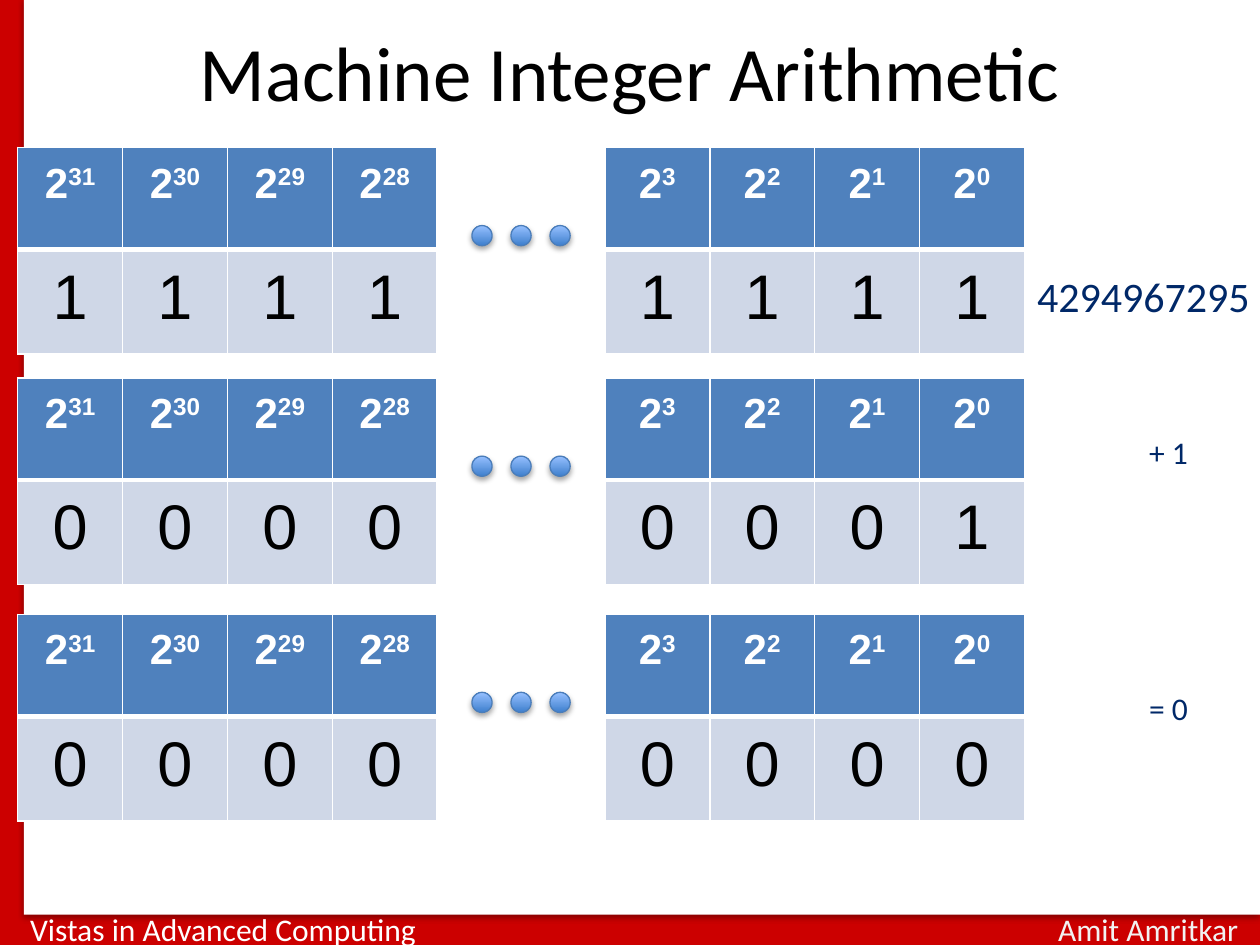
import dataclasses

import lxml.etree
import pptx
import pptx.dml.color
import pptx.enum.shapes
import pptx.enum.text
import pptx.oxml
import pptx.oxml.ns
import pptx.util

ALIGN = pptx.enum.text.PP_ALIGN
SHAPES = pptx.enum.shapes.MSO_SHAPE
WIDTH, HEIGHT = pptx.util.Inches(10), pptx.util.Inches(7.5)


@dataclasses.dataclass(frozen=True)
class Theme:
    red: str = "CC0000"
    white: str = "FFFFFF"
    pale: str = "F2F2F2"
    black: str = "000000"
    navy: str = "002868"
    header: str = "4F81BD"
    body: str = "CFD7E7"
    dot_low: str = "3E7FCD"
    dot_high: str = "96C0FF"
    dot_line: str = "4A7DBA"
    sans: str = "Calibri"
    digits: str = "Arial"
    title: int = 44
    bit: int = 36
    large: int = 24
    small: int = 18


THEME = Theme()


@dataclasses.dataclass(frozen=True)
class Box:
    """A region in EMU."""
    left: float
    top: float
    width: float
    height: float

    def share(self, left, top, width, height):
        """Region inside this one, in percent of its size."""
        return Box(self.left + self.width * left / 100, self.top + self.height * top / 100,
                   self.width * width / 100, self.height * height / 100)

    def frame(self):
        return [round(value) for value in (self.left, self.top, self.width, self.height)]


def rgb(color):
    return pptx.dml.color.RGBColor.from_string(color)


def style(span, size, color, font=THEME.sans, bold=False):
    span.font.size, span.font.name, span.font.bold = pptx.util.Pt(size), font, bold
    span.font.color.rgb = rgb(color)


def add_label(page, box, text, size, color, align=ALIGN.LEFT, inset=0.1, wrap=True):
    """One line of text with side insets twice the top inset."""
    frame = page.shapes.add_textbox(*box.frame()).text_frame
    frame.word_wrap = wrap
    frame.margin_left = frame.margin_right = pptx.util.Inches(inset * 2)
    frame.margin_top = frame.margin_bottom = pptx.util.Inches(inset)
    para = frame.paragraphs[0]
    para.text, para.alignment = text, align
    style(para.runs[0], size, color)
    return frame


def add_shadow(shape):
    shape.shadow.inherit = False
    effects = shape._element.spPr.find(pptx.oxml.ns.qn("a:effectLst"))
    effects.append(pptx.oxml.parse_xml(
        f'<a:outerShdw {pptx.oxml.ns.nsdecls("a")} blurRad="{pptx.util.Pt(3.1)}" '
        f'dist="{pptx.util.Pt(1.8)}" dir="5400000" rotWithShape="0">'
        f'<a:srgbClr val="{THEME.black}"><a:alpha val="35000"/></a:srgbClr></a:outerShdw>'))


def add_backdrop(page, box):
    """Red page, white panel and the two footer labels."""
    page.background.fill.solid()
    page.background.fill.fore_color.rgb = rgb(THEME.red)
    panel = page.shapes.add_shape(SHAPES.RECTANGLE, *box.share(1.9, -0.13, 98.1, 96.93).frame())
    panel.fill.solid()
    panel.fill.fore_color.rgb = rgb(THEME.white)
    panel.line.fill.background()
    add_shadow(panel)
    for left, width, text, color in ((1.4, 33, "Vistas in Advanced Computing", THEME.white),
                                     (83, 17, "Amit Amritkar", THEME.pale)):
        add_label(page, box.share(left, 95.6, width, 5.33), text, THEME.small, color,
                  inset=0.05, wrap=False)


def add_title(page, box, text):
    frame = add_label(page, box, text, THEME.title, THEME.black, ALIGN.CENTER)
    frame.paragraphs[0].line_spacing = 0.69


def format_cell(cell, fill, thick_edge):
    """White borders, with a thick one between header and body."""
    cell.margin_left = cell.margin_right = pptx.util.Inches(0.2)
    cell.margin_top = cell.margin_bottom = pptx.util.Inches(0.1)
    properties = cell._tc.get_or_add_tcPr()
    for edge in ("lnL", "lnR", "lnT", "lnB"):
        width = pptx.util.Pt(3 if edge == thick_edge else 1)
        line = lxml.etree.SubElement(properties, pptx.oxml.ns.qn(f"a:{edge}"), w=str(width))
        paint = lxml.etree.SubElement(line, pptx.oxml.ns.qn("a:solidFill"))
        lxml.etree.SubElement(paint, pptx.oxml.ns.qn("a:srgbClr"), val=THEME.white)
    cell.fill.solid()
    cell.fill.fore_color.rgb = rgb(fill)


def add_bit_table(page, box, powers, bits):
    """Powers of two above their bits."""
    table = page.shapes.add_table(2, len(bits), *box.frame()).table
    table.rows[0].height = round(box.height * 0.494)
    table.rows[1].height = round(box.height * 0.506)
    for index, (power, bit) in enumerate(zip(powers, bits)):
        table.columns[index].width = round(box.width / len(bits))
        head, body = table.cell(0, index), table.cell(1, index)
        format_cell(head, THEME.header, "lnB")
        format_cell(body, THEME.body, "lnT")
        para = head.text_frame.paragraphs[0]
        para.text, para.alignment = "2", ALIGN.CENTER
        exponent = para.add_run()
        exponent.text = str(power)
        for span in para.runs:
            style(span, THEME.large, THEME.white, THEME.digits, True)
        exponent.font._element.set("baseline", "30000")
        para = body.text_frame.paragraphs[0]
        para.text, para.alignment = bit, ALIGN.CENTER
        style(para.runs[0], THEME.bit, THEME.black, THEME.digits)


def add_dots(page, box):
    """Three round dots spread over the box."""
    size = box.height
    pitch = (box.width - size) / 2
    for index in range(3):
        place = Box(box.left + index * pitch, box.top, size, size)
        dot = page.shapes.add_shape(SHAPES.OVAL, *place.frame())
        dot.fill.gradient()
        dot.fill.gradient_angle = 90
        for stop, color in zip(dot.fill.gradient_stops, (THEME.dot_low, THEME.dot_high)):
            stop.color.rgb = rgb(color)
        dot.line.color.rgb = rgb(THEME.dot_line)
        dot.line.width = pptx.util.Pt(0.75)
        add_shadow(dot)


def add_word(page, box, high_bits, low_bits):
    """A 32-bit word on 9.6 columns: four bits, a gap of 1.6, four bits."""
    column = 100 / 9.6
    add_bit_table(page, box.share(5.6 * column, 0, 4 * column, 100), range(3, -1, -1), low_bits)
    add_bit_table(page, box.share(0, 0, 4 * column, 100), range(31, 27, -1), high_bits)
    add_dots(page, box.share(45.12, 37.8, 9.76, 9.76))


def main():
    deck = pptx.Presentation()
    deck.slide_width, deck.slide_height = WIDTH, HEIGHT
    page = deck.slides.add_slide(deck.slide_layouts[6])
    whole = Box(0, 0, WIDTH, HEIGHT)
    add_backdrop(page, whole)

    # Words of the sum
    for top, high_bits, low_bits in ((15.6, "1111", "1111"), (40, "0000", "0001"),
                                     (65, "0000", "0000")):
        add_word(page, whole.share(1.4, top, 79.9, 21.87), high_bits, low_bits)

    # Decimal values
    add_label(page, whole.share(78.2, 27.33, 25.1, 8), "4294967295", THEME.large, THEME.navy,
              ALIGN.CENTER)
    for top, text in ((44.53, "+ 1"), (71.6, "= 0")):
        add_label(page, whole.share(89.2, top, 10.8, 6.67), text, THEME.small, THEME.navy)

    add_title(page, whole.share(5, 4, 90, 16.67), "Machine Integer Arithmetic")
    deck.save("out.pptx")


if __name__ == "__main__":
    main()
